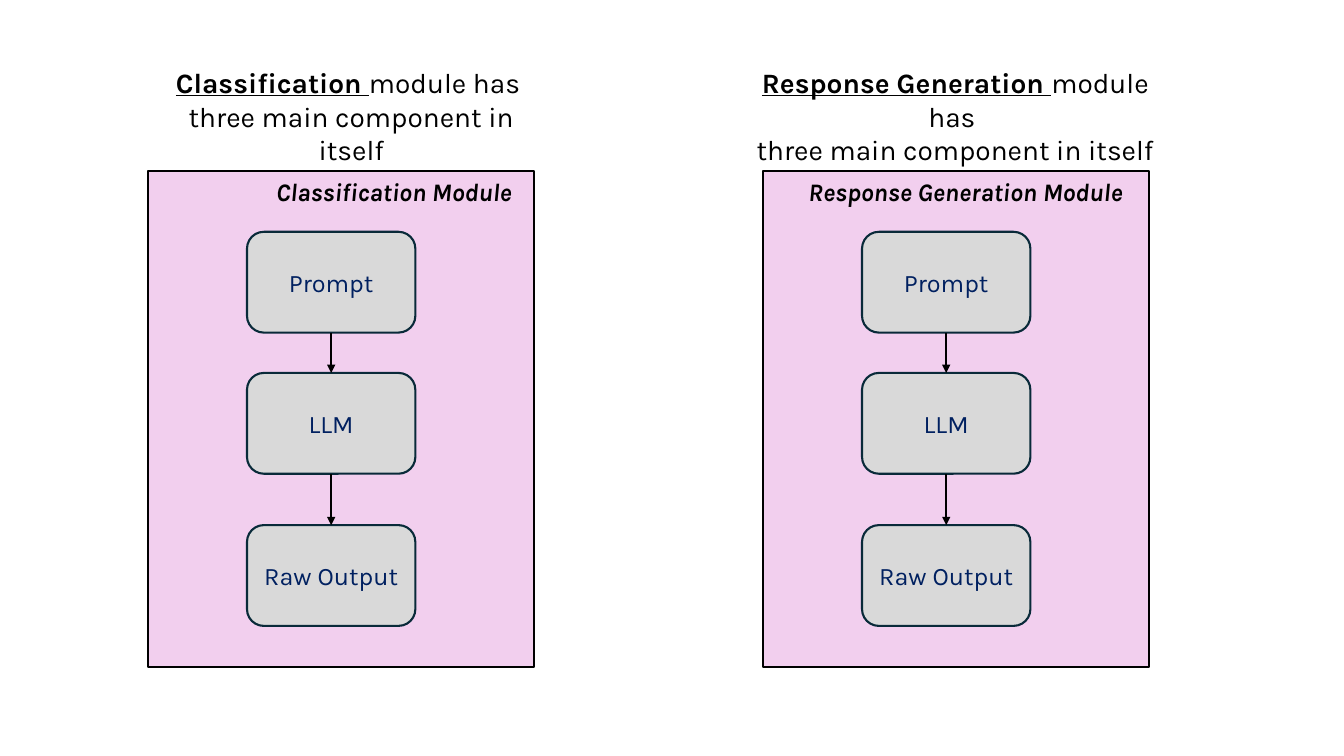
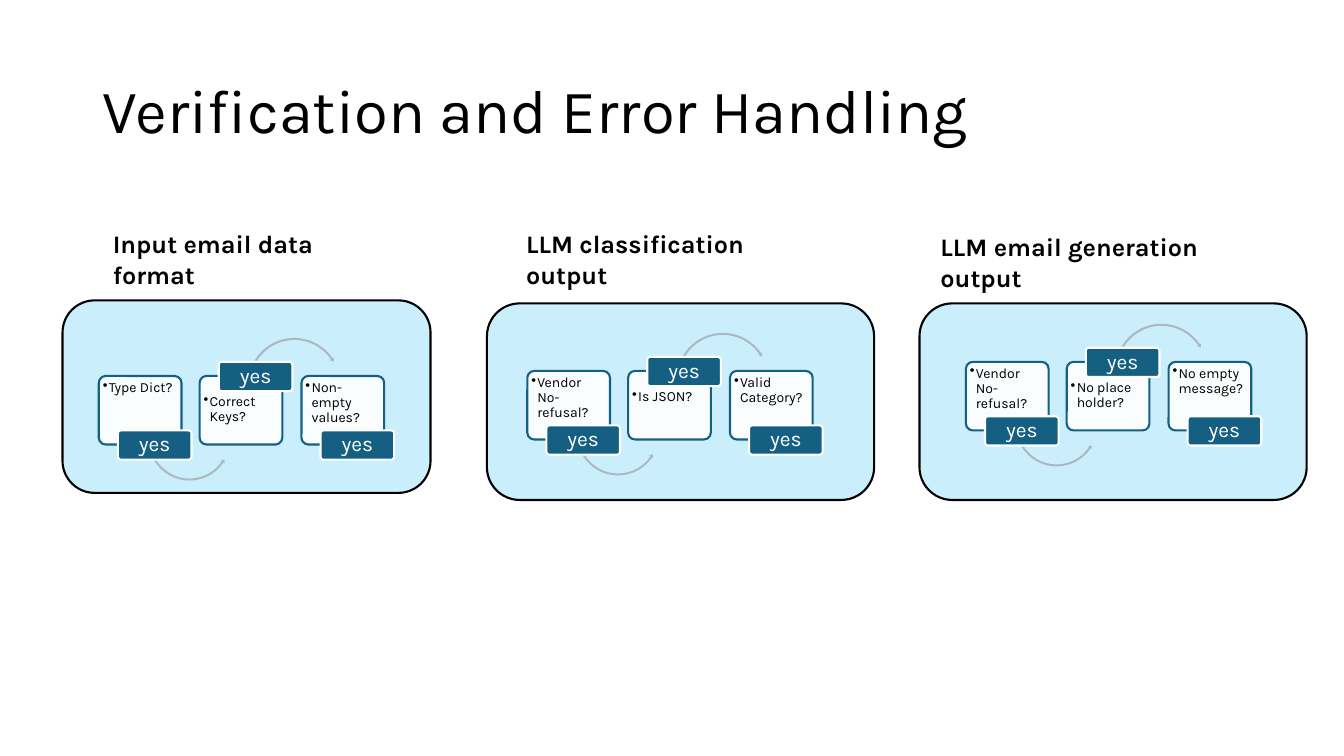
from lxml.etree import SubElement
from pptx import Presentation
from pptx.dml.color import RGBColor
from pptx.enum.shapes import MSO_CONNECTOR, MSO_SHAPE
from pptx.enum.text import MSO_ANCHOR, MSO_AUTO_SIZE, PP_ALIGN
from pptx.oxml.ns import qn
from pptx.util import Emu, Pt

PX = 9144
FONT = "Karla"
COLORS = {
    "black": "000000", "white": "FFFFFF", "navy": "002060", "pink": "F2CFEE",
    "grey": "D9D9D9", "ink": "092A39", "sky": "CAEEFB", "teal": "156082", "arrow": "ACB7C1",
}
TITLE_ONLY, BLANK = 5, 6
COLUMN_GAP = 610
STEPS = [("Prompt", 230), ("LLM", 370), ("Raw Output", 521)]
MODULES = [
    ("Classification", (147, 403), (264, 271)),
    ("Response Generation", (723, 449), (792, 359)),
]
CHECKS = [
    ("Input email data format", (102, 222, 289), (62, 298, 365, 191), (98, 373),
     ["Type Dict?", "Correct Keys?", "Non-empty values?"]),
    ("LLM classification output", (512, 222, 309), (483, 301, 384, 195), (523, 368),
     ["Vendor No-refusal?", "Is JSON?", "Valid Category?"]),
    ("LLM email generation output", (923, 225, 346), (912, 301, 384, 195), (958, 359),
     ["Vendor No-refusal?", "No place holder?", "No empty message?"]),
]
UNDER_ARC = (MSO_SHAPE.LEFT_CIRCULAR_ARROW, 48, 21, 84, (0.023, 2.794, 20.549, 90.245, 0.027))
OVER_ARC = (MSO_SHAPE.CIRCULAR_ARROW, 47, -39, 94, (0.021, 2.468, 195.777, 125.755, 0.024))


def px(*lengths):
    """Turn px lengths into EMU."""
    return [Emu(length * PX) for length in lengths]


def color(name):
    """Look up a palette colour."""
    return RGBColor.from_string(COLORS[name])


def add_span(para, text, size=18, ink="black", bold=False, italic=False, underline=False):
    """Add formatted text to a paragraph."""
    span = para.add_run()
    span.text = text
    font = span.font
    font.name, font.size = FONT, Pt(size)
    font.bold, font.italic, font.underline = bold, italic, underline
    font.color.rgb = color(ink)


def add_text_box(page, left, top, width, height):
    """Add a wrapping text box that grows, and return its text frame."""
    frame = page.shapes.add_textbox(*px(left, top, width, height)).text_frame
    frame.word_wrap = True
    frame.auto_size = MSO_AUTO_SIZE.SHAPE_TO_FIT_TEXT
    return frame


def add_box(page, kind, place, fill, line=None, adjustments=()):
    """Add a flat preset shape."""
    box = page.shapes.add_shape(kind, *px(*place))
    box.shadow.inherit = False
    for index, value in enumerate(adjustments):
        box.adjustments[index] = value
    box.fill.solid()
    box.fill.fore_color.rgb = color(fill)
    if line:
        box.line.color.rgb = color(line)
        box.line.width = Pt(1.5)
    else:
        box.line.fill.background()
    return box


def set_insets(frame, left, top, right, bottom):
    """Set the four inner margins of a text frame."""
    (frame.margin_left, frame.margin_top,
     frame.margin_right, frame.margin_bottom) = px(left, top, right, bottom)


def add_centred_label(box, text, **text_format):
    """Centre one line of text in a shape."""
    frame = box.text_frame
    frame.word_wrap = True
    frame.vertical_anchor = MSO_ANCHOR.MIDDLE
    para = frame.paragraphs[0]
    para.alignment = PP_ALIGN.CENTER
    add_span(para, text, **text_format)


def add_arrow(page, upper, lower):
    """Connect two stacked boxes with a downward arrow."""
    arrow = page.shapes.add_connector(MSO_CONNECTOR.STRAIGHT, 0, 0, 0, 0)
    arrow.begin_connect(upper, 2)
    arrow.end_connect(lower, 0)
    arrow.line.color.rgb = color("black")
    arrow.line.width = Pt(1.5)
    SubElement(arrow.line._get_or_add_ln(), qn("a:tailEnd"), type="triangle")
    SubElement(arrow._element.spPr, qn("a:effectLst"))


def add_module(page, offset, name, heading_span, label_span):
    """Add a heading and the panel of one module with its steps."""
    left, width = heading_span
    frame = add_text_box(page, left, 60, width, 77)
    first, second = frame.paragraphs[0], frame.add_paragraph()
    first.alignment = second.alignment = PP_ALIGN.CENTER
    add_span(first, f"{name} ", size=20, bold=True, underline=True)
    add_span(first, "module has ", size=20)
    add_span(second, "three main component in itself", size=20)

    add_box(page, MSO_SHAPE.RECTANGLE, (147 + offset, 170, 383, 492), "pink", "black")
    left, width = label_span
    label = add_text_box(page, left, 170, width, 40)
    add_span(label.paragraphs[0], f"{name} Module", bold=True, italic=True)

    boxes = []
    for text, top in STEPS:
        box = add_box(page, MSO_SHAPE.ROUNDED_RECTANGLE,
                      (245 + offset, top, 167, 100), "grey", "ink")
        add_centred_label(box, text, ink="navy")
        boxes.append(box)
    for upper, lower in zip(boxes, boxes[1:]):
        add_arrow(page, upper, lower)


def add_card(page, left, top, text, text_top):
    """Add a translucent card with one bulleted question."""
    card = add_box(page, MSO_SHAPE.ROUNDED_RECTANGLE, (left, top, 82, 68),
                   "white", "teal", (0.1,))
    SubElement(card._element.spPr.find(".//" + qn("a:srgbClr")), qn("a:alpha"), val="90000")
    frame = card.text_frame
    frame.word_wrap = True
    frame.vertical_anchor = MSO_ANCHOR.TOP
    set_insets(frame, 2, text_top, 2, 2)
    para = frame.paragraphs[0]
    para.alignment = PP_ALIGN.LEFT
    para.line_spacing = 0.9
    properties = para._p.get_or_add_pPr()
    properties.set("marL", str(6 * PX))
    properties.set("indent", str(-6 * PX))
    SubElement(properties, qn("a:buChar"), char="•")
    add_span(para, text, size=10)


def add_tag(page, left, top):
    """Add a yes tag."""
    tag = add_box(page, MSO_SHAPE.ROUNDED_RECTANGLE, (left, top, 73, 29),
                  "teal", "white", (0.1,))
    set_insets(tag.text_frame, 3, 2, 3, 2)
    add_centred_label(tag, "yes", size=15, ink="white")
    tag.text_frame.paragraphs[0].line_spacing = 0.9


def add_check_flow(page, start, top, questions):
    """Add cards whose tags alternate below and above, joined by arcs."""
    for index, question in enumerate(questions):
        left = start + index * 201 // 2
        raised = index % 2 == 1
        add_card(page, left, top, question, 16 if raised else 2)
        if index < len(questions) - 1:
            kind, across, down, size, adjustments = OVER_ARC if raised else UNDER_ARC
            add_box(page, kind, (left + across, top + down, size, size),
                    "arrow", adjustments=adjustments)
        add_tag(page, left + 19, top + (-14 if raised else 54))


def add_title(page, text):
    """Place and fill the title placeholder."""
    title = page.shapes.title
    title.left, title.top, title.width, title.height = px(92, 40, 1150, 145)
    frame = title.text_frame
    frame.word_wrap = True
    frame.auto_size = MSO_AUTO_SIZE.NONE
    frame.vertical_anchor = MSO_ANCHOR.MIDDLE
    para = frame.paragraphs[0]
    para.alignment = PP_ALIGN.LEFT
    para.line_spacing = 0.9
    add_span(para, text, size=44)


def add_page(deck, layout):
    """Add a slide with the given layout."""
    return deck.slides.add_slide(deck.slide_layouts[layout])


def main():
    """Build and save the deck."""
    deck = Presentation()
    deck.slide_width, deck.slide_height = px(1333, 750)

    page = add_page(deck, BLANK)
    for index, module in enumerate(MODULES):
        add_module(page, index * COLUMN_GAP, *module)

    page = add_page(deck, TITLE_ONLY)
    add_title(page, "Verification and Error Handling")
    for heading, (left, top, width), panel, start, questions in CHECKS:
        frame = add_text_box(page, left, top, width, 40)
        add_span(frame.paragraphs[0], heading, bold=True)
        add_box(page, MSO_SHAPE.ROUNDED_RECTANGLE, panel, "sky", "black")
        add_check_flow(page, *start, questions)

    deck.save("out.pptx")


if __name__ == "__main__":
    main()
